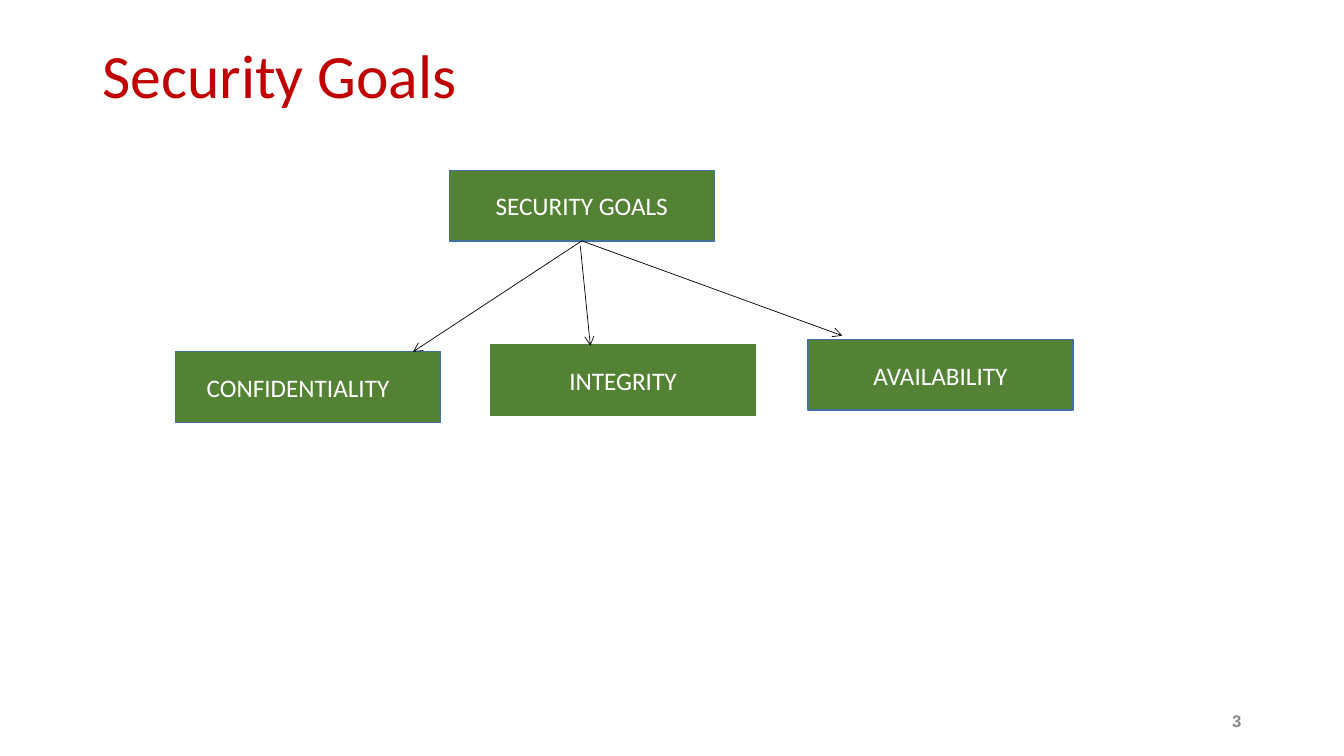
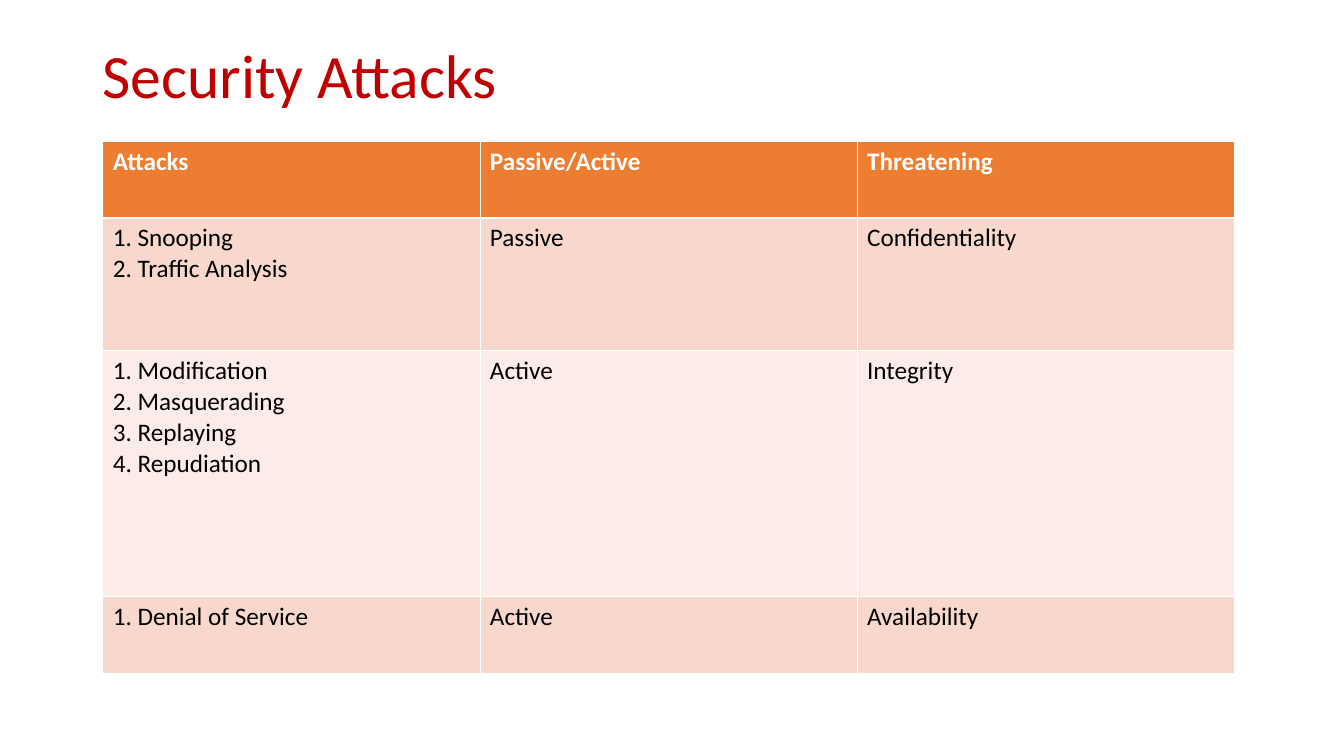
from dataclasses import dataclass

from lxml.etree import SubElement
from pptx import Presentation
from pptx.dml.color import RGBColor
from pptx.enum.shapes import MSO_CONNECTOR, MSO_SHAPE
from pptx.enum.text import MSO_ANCHOR, PP_ALIGN
from pptx.oxml.ns import qn
from pptx.util import Inches, Pt


@dataclass(frozen=True)
class Theme:
    title_red: str = "C00000"
    footer_gray: str = "898989"
    green: str = "548235"
    blue: str = "41719C"
    orange: str = "ED7D31"
    bands: tuple = ("F8D7CD", "FCECE8")
    white: str = "FFFFFF"
    black: str = "000000"
    body_font: str = "Calibri"
    footer_font: str = "Arial"
    title_size: int = 44
    body_size: int = 18
    footer_size: int = 12
    outline: float = 1
    arrow: float = 0.5
    grid: float = 0.45
    header_rule: float = 1.47


THEME = Theme()
GOAL_SIZE = (2.63, 0.7)
BOTTOM_SITE = 2

# label, left, top, outline colour, right inset
ROOT_GOAL = ("SECURITY GOALS", 4.46, 1.69, THEME.blue, 0.1)
GOALS = [
    ("CONFIDENTIALITY", 1.74, 3.49, THEME.blue, 0.29),
    ("INTEGRITY", 4.87, 3.42, THEME.green, 0.1),
    ("AVAILABILITY", 8.02, 3.37, THEME.blue, 0.1),
]
# start, end, whether the start is attached to the root box
ARROWS = [
    ((5.77, 2.39), (4.1, 3.49), True),
    ((5.76, 2.44), (5.86, 3.43), False),
    ((5.77, 2.39), (8.36, 3.33), True),
]

ATTACKS = [
    ("Attacks", "Passive/Active", "Threatening"),
    ("1. Snooping\n2. Traffic Analysis", "Passive", "Confidentiality"),
    ("1. Modification\n2. Masquerading\n3. Replaying\n4. Repudiation",
     "Active", "Integrity"),
    ("1. Denial of Service", "Active", "Availability"),
]
ROW_HEIGHTS = (0.76, 1.32, 2.44, 0.76)
TABLE_AREA = (1.02, 1.4, 11.23, sum(ROW_HEIGHTS))


def rgb(value):
    return RGBColor.from_string(value)


def set_attributes(target, **values):
    for name, value in values.items():
        setattr(target, name, value)


def write_text(frame, text, color, size=THEME.body_size, font=THEME.body_font,
               bold=False, **para_format):
    """Fill a text frame, one paragraph for each line of text."""
    frame.text = text
    for para in frame.paragraphs:
        set_attributes(para, **para_format)
        for span in para.runs:
            set_attributes(span.font, name=font, size=Pt(size), bold=bold)
            span.font.color.rgb = rgb(color)


def add_label(page, area, text, color, **text_format):
    box = page.shapes.add_textbox(*map(Inches, area))
    set_attributes(box.text_frame, word_wrap=True,
                   vertical_anchor=MSO_ANCHOR.MIDDLE)
    write_text(box.text_frame, text, color, **text_format)


def add_page(deck, title):
    page = deck.slides.add_slide(deck.slide_layouts[6])
    add_label(page, (0.92, 0.4, 11.5, 0.75), title, THEME.title_red,
              size=THEME.title_size, line_spacing=0.9)
    return page


def add_page_number(page, number):
    add_label(page, (11.65, 6.95, 0.77, 0.4), str(number), THEME.footer_gray,
              size=THEME.footer_size, font=THEME.footer_font, bold=True,
              alignment=PP_ALIGN.RIGHT)


def add_goal(page, label, left, top, outline, right_inset):
    box = page.shapes.add_shape(
        MSO_SHAPE.RECTANGLE, *map(Inches, (left, top, *GOAL_SIZE)))
    box.shadow.inherit = False
    box.fill.solid()
    box.fill.fore_color.rgb = rgb(THEME.green)
    box.line.color.rgb = rgb(outline)
    box.line.width = Pt(THEME.outline)
    set_attributes(box.text_frame, word_wrap=True,
                   margin_right=Inches(right_inset),
                   vertical_anchor=MSO_ANCHOR.MIDDLE)
    write_text(box.text_frame, label, THEME.white, alignment=PP_ALIGN.CENTER)
    return box


def add_arrow(page, start, end):
    arrow = page.shapes.add_connector(
        MSO_CONNECTOR.STRAIGHT, *map(Inches, (*start, *end)))
    arrow.line.color.rgb = rgb(THEME.black)
    arrow.line.width = Pt(THEME.arrow)
    properties = arrow.element.spPr
    SubElement(properties.find(qn("a:ln")), qn("a:tailEnd"), type="arrow")
    SubElement(properties, qn("a:effectLst"))
    return arrow


def add_cell_borders(cell, top, bottom):
    """Draw white borders; call before the fill, which must follow them."""
    properties = cell._tc.get_or_add_tcPr()
    widths = {"lnL": THEME.grid, "lnR": THEME.grid, "lnT": top, "lnB": bottom}
    for side, width in widths.items():
        border = SubElement(properties, qn(f"a:{side}"), w=str(Pt(width)))
        fill = SubElement(border, qn("a:solidFill"))
        SubElement(fill, qn("a:srgbClr"), val=THEME.white)


def add_attack_table(page):
    table = page.shapes.add_table(
        len(ATTACKS), len(ATTACKS[0]), *map(Inches, TABLE_AREA)).table
    for row, height in zip(table.rows, ROW_HEIGHTS):
        row.height = Inches(height)
    for row_index, texts in enumerate(ATTACKS):
        header = row_index == 0
        fill = THEME.orange if header else THEME.bands[(row_index - 1) % 2]
        top = THEME.header_rule if row_index == 1 else THEME.grid
        bottom = THEME.header_rule if header else THEME.grid
        for column_index, text in enumerate(texts):
            cell = table.cell(row_index, column_index)
            add_cell_borders(cell, top, bottom)
            cell.fill.solid()
            cell.fill.fore_color.rgb = rgb(fill)
            write_text(cell.text_frame, text,
                       THEME.white if header else THEME.black, bold=header)


def add_goals_page(deck):
    page = add_page(deck, "Security Goals")
    add_page_number(page, 3)
    root = add_goal(page, *ROOT_GOAL)
    for goal in GOALS:
        add_goal(page, *goal)
    for start, end, attached in ARROWS:
        arrow = add_arrow(page, start, end)
        if attached:
            arrow.begin_connect(root, BOTTOM_SITE)


def add_attacks_page(deck):
    add_attack_table(add_page(deck, "Security Attacks"))


def main():
    deck = Presentation()
    set_attributes(deck, slide_width=Inches(13.34), slide_height=Inches(7.5))
    add_goals_page(deck)
    add_attacks_page(deck)
    deck.save("out.pptx")


if __name__ == "__main__":
    main()
